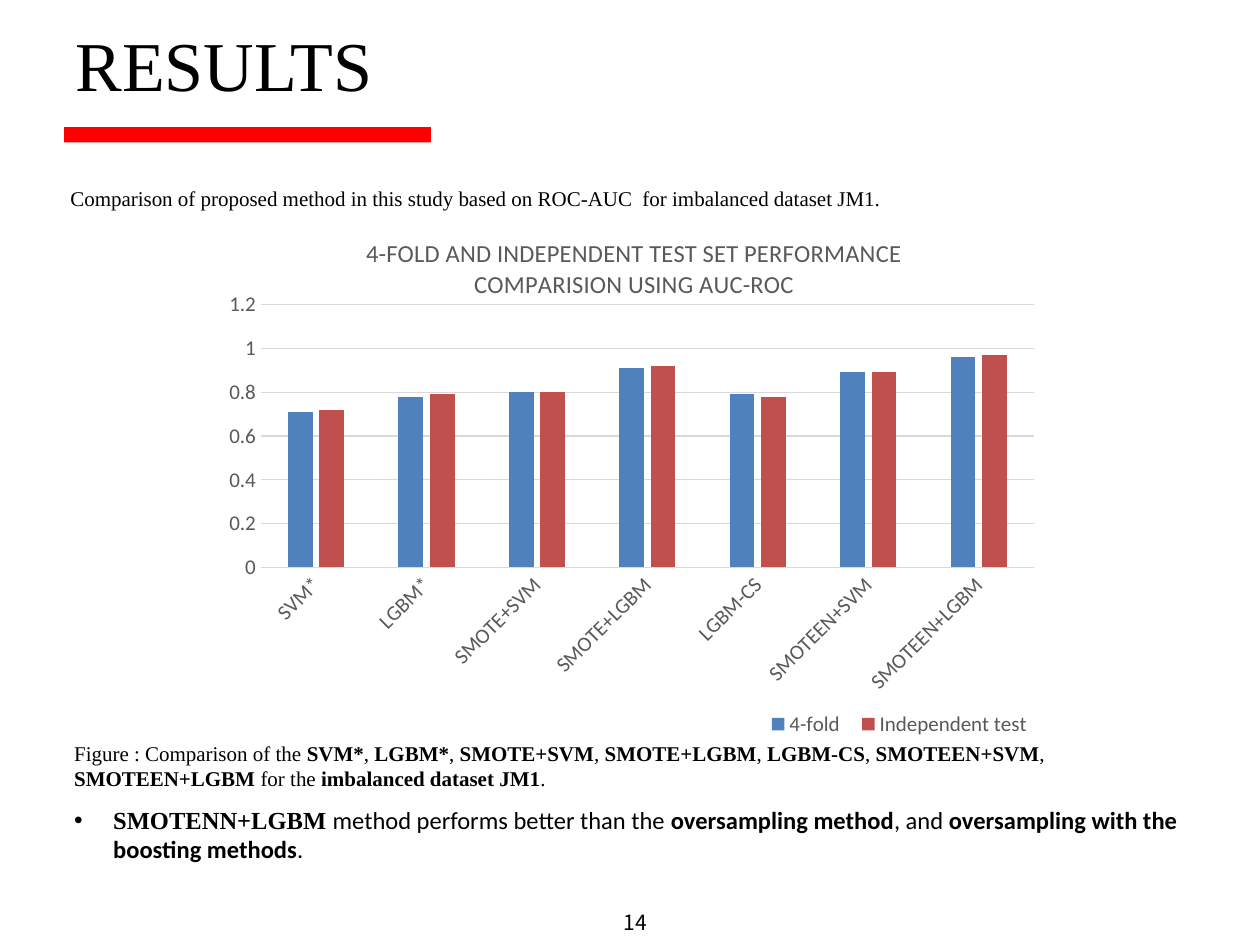
from dataclasses import dataclass

from pptx import Presentation
from pptx.chart.data import CategoryChartData
from pptx.dml.color import RGBColor
from pptx.enum.chart import XL_CHART_TYPE as ChartType, XL_LEGEND_POSITION as LegendPos
from pptx.enum.chart import XL_TICK_MARK as TickMark
from pptx.enum.shapes import MSO_SHAPE as Shape
from pptx.oxml import parse_xml
from pptx.oxml.ns import nsdecls, qn
from pptx.util import Inches, Pt


@dataclass(frozen=True)
class Theme:
    black: str = "000000"
    accent: str = "FF0000"
    grey: str = "595959"
    grid: str = "D9D9D9"
    series: tuple = ("4F81BD", "C0504D")
    serif: str = "Times New Roman"
    sans: str = "Calibri"
    number: str = "Noto Sans CJK KR"
    title: int = 40
    point: int = 14
    body: int = 12
    line: float = 0.75


class SlideBuilder:
    def __init__(self, prs, theme):
        self.theme = theme
        self.slide = prs.slides.add_slide(prs.slide_layouts[6])

    def style(self, font, size, name, color, bold=False):
        font.size, font.name, font.bold = Pt(size), name, bold
        font.color.rgb = RGBColor.from_string(color)

    def bar(self, x, y, w, h):
        s = self.slide.shapes.add_shape(Shape.RECTANGLE, *map(Inches, (x, y, w, h)))
        s.shadow.inherit = False
        s.fill.solid()
        s.fill.fore_color.rgb = RGBColor.from_string(self.theme.accent)
        s.line.fill.background()

    def text(self, box, runs, size, fonts, insets=(0.1, 0.05, 0.1, 0.05),
             before=0, margin=0, bullet=None):
        """Runs are (text, bold) pairs; fonts gives the first run's font, then the rest's."""
        tf = self.slide.shapes.add_textbox(*map(Inches, box)).text_frame
        tf.word_wrap = True
        tf.margin_left, tf.margin_top, tf.margin_right, tf.margin_bottom = map(Inches, insets)
        p = tf.paragraphs[0]
        p.space_before = Pt(before)
        pPr = p._p.get_or_add_pPr()
        pPr.set("marL", str(Inches(margin)))
        if bullet:
            pPr.set("indent", str(-Inches(margin)))
            pPr.append(parse_xml(f'<a:buFont {nsdecls("a")} typeface="Arial"/>'))
            pPr.append(parse_xml(f'<a:buChar {nsdecls("a")} char="{bullet}"/>'))
        for i, (content, bold) in enumerate(runs):
            r = p.add_run()
            r.text = content
            self.style(r.font, size, fonts[0] if i == 0 else fonts[-1], self.theme.black, bold)

    def place(self, element, index, target=None, **fractions):
        """Set a manual layout, in fractions of the chart's size."""
        for old in element.findall(qn("c:layout")):
            element.remove(old)
        inner = f'<c:layoutTarget val="{target}"/>' if target else ""
        inner += '<c:xMode val="edge"/><c:yMode val="edge"/>'
        inner += "".join(f'<c:{k} val="{v}"/>' for k, v in fractions.items())
        element.insert(index, parse_xml(
            f'<c:layout {nsdecls("c")}><c:manualLayout>{inner}</c:manualLayout></c:layout>'))

    def column_chart(self, box, title, categories, series):
        t = self.theme
        data = CategoryChartData()
        data.categories = categories
        for name, values in series.items():
            data.add_series(name, values)
        chart = self.slide.shapes.add_chart(
            ChartType.COLUMN_CLUSTERED, *map(Inches, box), data).chart
        self.style(chart.font, t.body, t.sans, t.grey)

        # Title
        chart.has_title = True
        r = chart.chart_title.text_frame.paragraphs[0].add_run()
        r.text = title
        self.style(r.font, t.point, t.sans, t.grey)
        chart.chart_title.include_in_layout = False
        self.place(chart.chart_title._element, 1, x=0.18, y=0.07)

        # Columns
        plot = chart.plots[0]
        plot.gap_width, plot.overlap, plot.vary_by_categories = 219, -27, False
        for s, color in zip(plot.series, t.series):
            s.format.fill.solid()
            s.format.fill.fore_color.rgb = RGBColor.from_string(color)
        plot_area = chart._chartSpace.chart.plotArea
        self.place(plot_area, 0, "inner", x=0.06, y=0.2, w=0.92, h=0.47)

        # Axes
        cat, val = chart.category_axis, chart.value_axis
        for axis in (cat, val):
            axis.major_tick_mark = axis.minor_tick_mark = TickMark.NONE
            self.style(axis.tick_labels.font, t.body, t.sans, t.grey)
        cat._element.txPr.bodyPr.set("rot", "-2700000")
        val.minimum_scale, val.maximum_scale, val.major_unit = 0, 1.2, 0.2
        val.format.line.fill.background()
        for line in (cat.format.line, val.major_gridlines.format.line):
            line.width = Pt(t.line)
            line.color.rgb = RGBColor.from_string(t.grid)

        # Legend
        chart.has_legend = True
        chart.legend.position = LegendPos.BOTTOM
        chart.legend.include_in_layout = False
        self.style(chart.legend.font, t.body, t.sans, t.grey)
        self.place(chart.legend._element, 1, x=0.65, y=0.91, w=0.34, h=0.08)


def main():
    prs = Presentation()
    prs.slide_width, prs.slide_height = Inches(10), Inches(7.5)
    t = Theme()
    b = SlideBuilder(prs, t)
    methods = ["SVM*", "LGBM*", "SMOTE+SVM", "SMOTE+LGBM", "LGBM-CS",
               "SMOTEEN+SVM", "SMOTEEN+LGBM"]

    # Heading and page number
    b.bar(0.51, 1.01, 2.91, 0.12)
    b.text((0.59, 0.16, 7.41, 0.69), [("RESULTS", False)], t.title, [t.serif],
           insets=(0, 0.01, 0, 0), before=0.9, margin=0.01)
    b.text((4.91, 7.19, 0.25, 0.23), [("14", False)], t.body, [t.number],
           insets=(0, 0.03, 0, 0), before=2, margin=0.04)

    # Introduction
    b.text((0.46, 1.42, 9.16, 0.61),
           [("Comparison of proposed method in this study based on ROC-AUC  "
             "for imbalanced dataset JM1.", False)], t.body, [t.serif])

    # Caption: method names in bold, separated by plain commas
    caption = [("Figure : Comparison of the ", False)]
    for m in methods[:-1]:
        caption += [(m, True), (", ", False)]
    caption += [(methods[-1] + " ", True), ("for the ", False),
                ("imbalanced dataset JM1", True), (".", False)]
    b.text((0.49, 5.83, 9.34, 0.5), caption, t.body, [t.serif])

    # Conclusion
    b.text((0.49, 6.34, 9.16, 0.57),
           [("SMOTENN+LGBM ", True), ("method performs better than the ", False),
            ("oversampling method", True), (", and ", False),
            ("oversampling with the boosting methods", True), (".", False)],
           t.point, [t.serif, t.sans], margin=0.31, bullet="•")

    # Performance chart
    b.column_chart(
        (1.67, 1.53, 6.67, 4.44),
        "4-FOLD AND INDEPENDENT TEST SET PERFORMANCE COMPARISION USING AUC-ROC",
        methods,
        {"4-fold": (0.71, 0.78, 0.8, 0.91, 0.79, 0.89, 0.96),
         "Independent test": (0.72, 0.79, 0.8, 0.92, 0.78, 0.89, 0.97)})

    prs.save("out.pptx")


if __name__ == "__main__":
    main()
